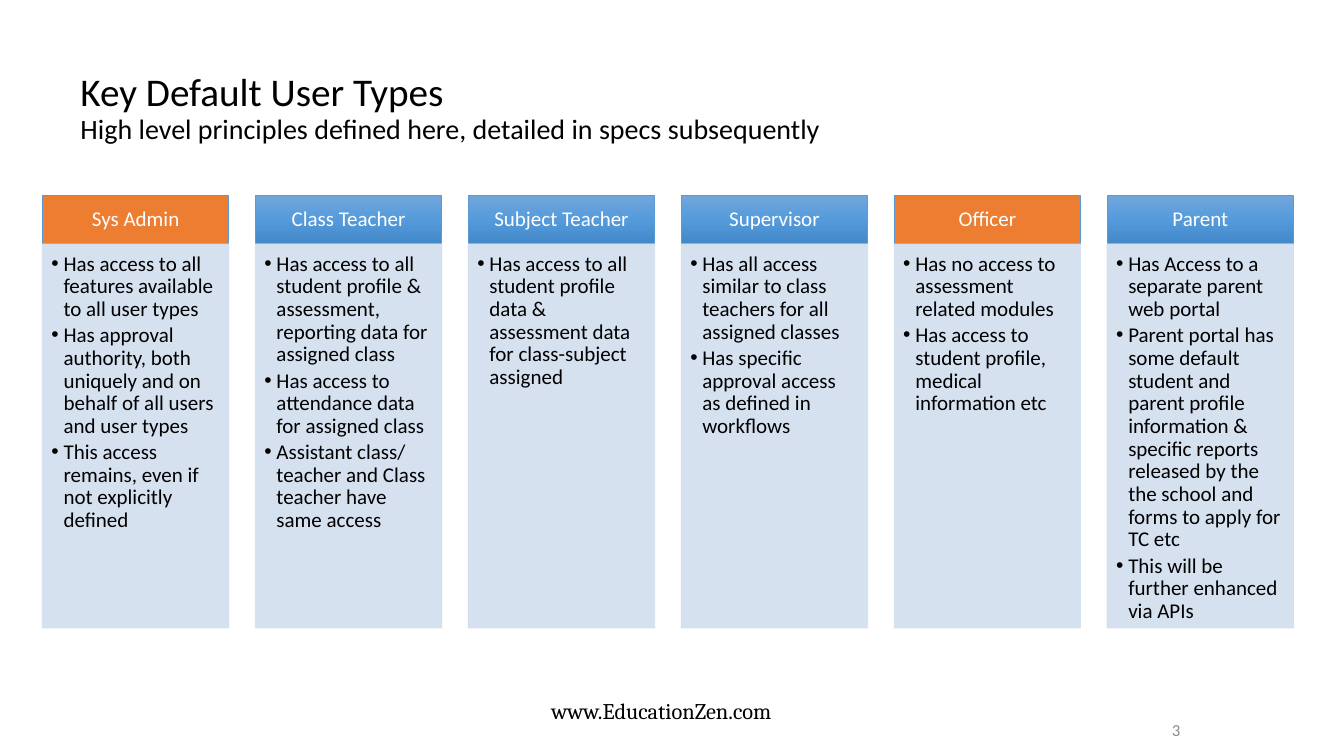
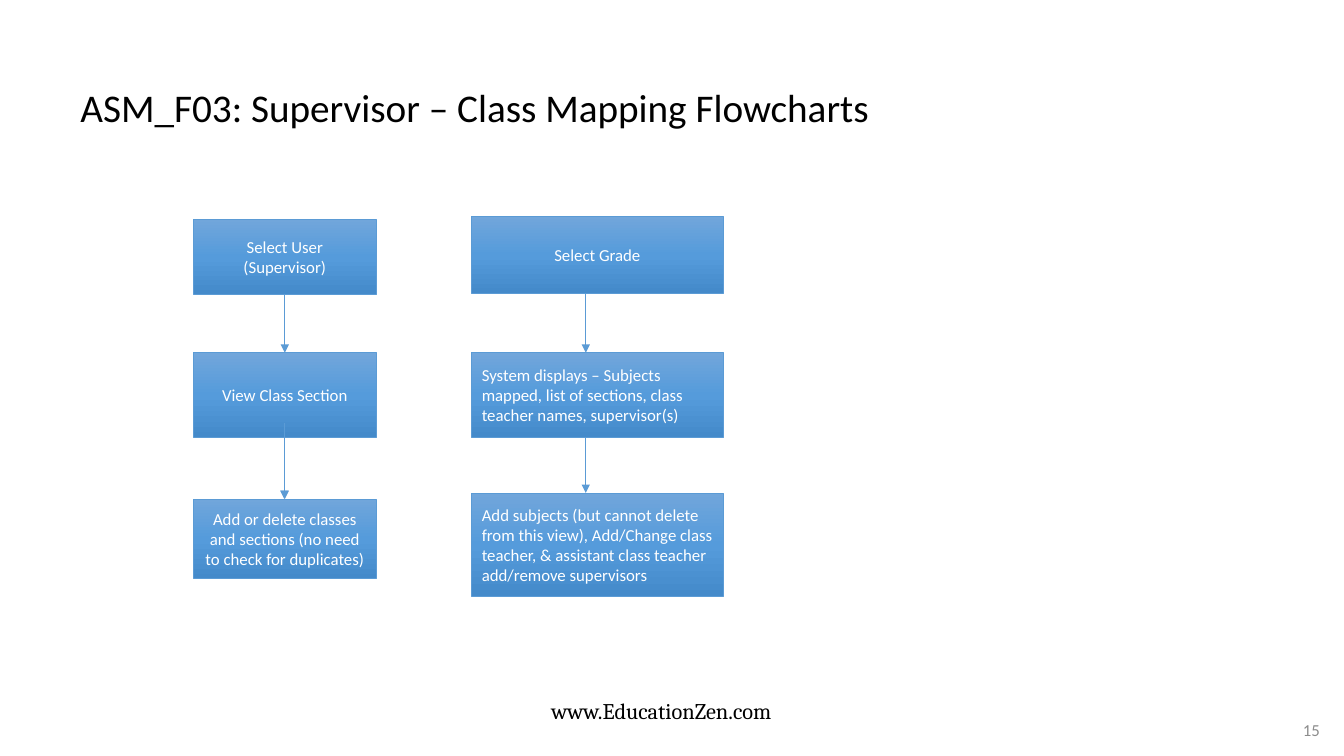
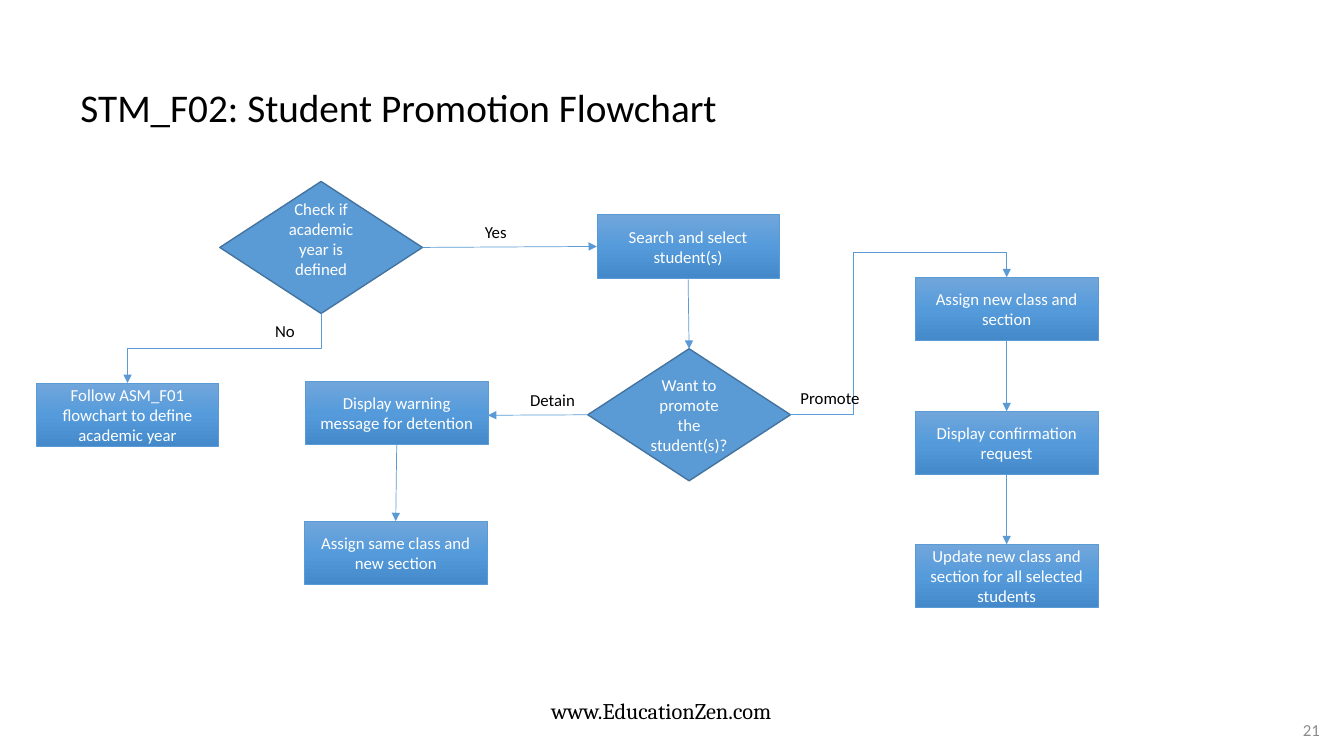
"""Build three slides on user types and school workflow flowcharts."""
import copy

import pptx
import pptx.dml.color
import pptx.enum.shapes
import pptx.enum.text
import pptx.oxml.ns
import pptx.util
from lxml import etree

Inches = pptx.util.Inches
Pt = pptx.util.Pt
qn = pptx.oxml.ns.qn
ALIGN = pptx.enum.text.PP_ALIGN
ANCHOR = pptx.enum.text.MSO_ANCHOR
SHAPE = pptx.enum.shapes.MSO_SHAPE
CONNECTOR = pptx.enum.shapes.MSO_CONNECTOR

COLORS = {
    "black": "000000", "white": "FFFFFF", "gray": "8C8C8C",
    "blue": "5B9BD5", "dark_blue": "43739E", "pale_blue": "D2DEEF", "orange": "ED7D31",
    "gradient_top": "71A6DB", "gradient_middle": "559BDB", "gradient_bottom": "448ACA",
}
GRADIENT = ["gradient_top", "gradient_middle", "gradient_bottom"]
FOOTER = "www.EducationZen.com"
TOP, LEFT, BOTTOM, RIGHT = range(4)

USER_TYPES = [
    ("Sys Admin", "orange", [
        "Has access to all features available to all user types",
        "Has approval authority, both uniquely and on behalf of all users and user types",
        "This access remains, even if not explicitly defined"]),
    ("Class Teacher", "gradient", [
        "Has access to all student profile & assessment, reporting data for assigned class",
        "Has access to attendance data for assigned class",
        "Assistant class/ teacher and Class teacher have same access"]),
    ("Subject Teacher", "gradient", [
        "Has access to all student profile data & assessment data for class-subject assigned"]),
    ("Supervisor", "gradient", [
        "Has all access similar to class teachers for all assigned classes",
        "Has specific approval access as defined in workflows"]),
    ("Officer", "orange", [
        "Has no access to assessment related modules",
        "Has access to student profile, medical information etc"]),
    ("Parent", "gradient", [
        "Has Access to a separate parent web portal",
        "Parent portal has some default student and parent profile information & specific "
        "reports released by the the school and forms to apply for TC etc",
        "This will be further enhanced via APIs"]),
]

MAPPING_STEPS = {
    "user": ("Select User (Supervisor)", 1.92, 2.18, 1.81, 0.74, ALIGN.CENTER),
    "view": ("View Class Section", 1.92, 3.5, 1.81, 0.84, ALIGN.CENTER),
    "edit": ("Add or delete classes and sections (no need to check for duplicates)",
             1.92, 4.95, 1.81, 0.79, ALIGN.CENTER),
    "grade": ("Select Grade", 4.68, 2.15, 2.49, 0.76, ALIGN.CENTER),
    "display": ("System displays – Subjects mapped, list of sections, class teacher names, "
                "supervisor(s)", 4.68, 3.5, 2.49, 0.84, ALIGN.LEFT),
    "change": ("Add subjects (but cannot delete from this view), Add/Change class teacher, & "
               "assistant class teacher add/remove supervisors",
               4.68, 4.89, 2.49, 1.03, ALIGN.LEFT),
}
MAPPING_ARROWS = [
    (("user", BOTTOM), ("view", TOP)),
    (("view", BOTTOM), ("edit", TOP)),
    ((2.82, 4.2), (2.82, 4.95)),
    ((5.81, 2.91), (5.81, 3.5)),
    ((5.81, 4.34), (5.81, 4.89)),
]

PROMOTION_DECISIONS = {
    "check": ("Check if academic year is defined", 2.18, 1.8, 0.22),
    "promote": ("Want to promote the student(s)?", 5.83, 3.46, 0.05),
}
PROMOTION_STEPS = {
    name: (text, left, top, 1.81, 0.63, ALIGN.CENTER)
    for name, text, left, top in [
        ("warn", "Display warning message for detention", 3.03, 3.78),
        ("search", "Search and select student(s)", 5.92, 2.13),
        ("follow", "Follow ASM_F01 flowchart to define academic year", 0.36, 3.8),
        ("update", "Update new class and section for all selected students", 9.08, 5.4),
        ("assign", "Assign new class and section", 9.08, 2.75),
        ("confirm", "Display confirmation request", 9.08, 4.08),
        ("same", "Assign same class and new section", 3.02, 5.17),
    ]
}
PROMOTION_ARROWS = [
    (("check", RIGHT), ("search", LEFT)),
    (("search", BOTTOM), ("promote", TOP)),
    (("warn", BOTTOM), ("same", TOP)),
    (("promote", LEFT), (4.84, 4.12)),
    (("assign", BOTTOM), ("confirm", TOP)),
    (("confirm", BOTTOM), ("update", TOP)),
]
PROMOTION_LABELS = [
    ("Yes", 4.71, 2.15, 0.55), ("Promote", 7.84, 3.8, 1.08),
    ("Detain", 5.16, 3.82, 0.67), ("No", 2.63, 3.13, 0.55),
]


def rgb(name):
    return pptx.dml.color.RGBColor.from_string(COLORS[name])


def format_text(shape, paragraphs, size, color="black", font="Calibri", align=ALIGN.LEFT,
                anchor=ANCHOR.TOP, insets=(0.1, 0.05, 0.1, 0.05), spacing=None):
    frame = shape.text_frame
    frame.word_wrap = True
    frame.vertical_anchor = anchor
    (frame.margin_left, frame.margin_top,
     frame.margin_right, frame.margin_bottom) = map(Inches, insets)
    frame.text = "\n".join(paragraphs)
    for paragraph in frame.paragraphs:
        paragraph.alignment = align
        if spacing:
            paragraph.line_spacing = spacing
        for run in paragraph.runs:
            run.font.name = font
            run.font.size = Pt(size)
            run.font.color.rgb = rgb(color)
    return frame


def add_text(slide, box, paragraphs, size, **style):
    return format_text(slide.shapes.add_textbox(*map(Inches, box)), paragraphs, size, **style)


def add_box(slide, kind, box, fill, line="blue", line_width=0.5):
    shape = slide.shapes.add_shape(kind, *map(Inches, box))
    shape.shadow.inherit = False
    if fill == "gradient":
        shape.fill.gradient()
        shape.fill.gradient_angle = 270
        stops = shape._element.spPr.find(".//" + qn("a:gsLst"))
        stops.append(copy.deepcopy(stops[0]))
        for index, (stop, name) in enumerate(zip(shape.fill.gradient_stops, GRADIENT)):
            stop.color.rgb = rgb(name)
            stop.position = index / 2
    else:
        shape.fill.solid()
        shape.fill.fore_color.rgb = rgb(fill)
    shape.line.color.rgb = rgb(line)
    shape.line.width = Pt(line_width)
    return shape


def add_steps(slide, steps):
    shapes = {}
    for name, (text, *box, align) in steps.items():
        shapes[name] = add_box(slide, SHAPE.FLOWCHART_PROCESS, box, "gradient")
        format_text(shapes[name], [text], 12, color="white", align=align, anchor=ANCHOR.MIDDLE)
    return shapes


def add_arrow(slide, shapes, start, end, kind=CONNECTOR.STRAIGHT):
    points = [(0, 0) if point[0] in shapes else point for point in (start, end)]
    connector = slide.shapes.add_connector(
        kind, *(Inches(value) for point in points for value in point))
    if start[0] in shapes:
        connector.begin_connect(shapes[start[0]], start[1])
    if end[0] in shapes:
        connector.end_connect(shapes[end[0]], end[1])
    connector.line.color.rgb = rgb("blue")
    connector.line.width = Pt(0.5)
    properties = connector._element.spPr
    etree.SubElement(properties.find(qn("a:ln")), qn("a:tailEnd"), type="triangle")
    etree.SubElement(properties, qn("a:effectLst"))
    return connector


def turn_elbow(connector):
    left, top, width, height = connector.left, connector.top, connector.width, connector.height
    connector.left = left + (width - height) // 2
    connector.top = top + (height - width) // 2
    connector.width, connector.height = height, width
    transform = connector._element.spPr.find(qn("a:xfrm"))
    transform.attrib.pop("flipH", None)
    transform.set("rot", "5400000")


def bend_elbow(connector, adjustments):
    geometry = connector._element.spPr.find(qn("a:prstGeom"))
    geometry.set("prst", "bentConnector4")
    values = geometry.find(qn("a:avLst"))
    for index, value in enumerate(adjustments, 1):
        etree.SubElement(values, qn("a:gd"), name=f"adj{index}", fmla=f"val {value}")


def add_slide(presentation, title, number, number_indent=2.68):
    slide = presentation.slides.add_slide(presentation.slide_layouts[6])
    add_text(slide, (4.75, 6.87, 3, 0.37), [FOOTER], 16, font="Cambria", align=ALIGN.RIGHT)
    frame = add_text(slide, (10.04, 7.04, 3.25, 0.4), [number], 12, color="gray",
                     align=ALIGN.CENTER, anchor=ANCHOR.MIDDLE)
    frame.paragraphs[0]._p.get_or_add_pPr().set("marL", str(Inches(number_indent)))
    frame = add_text(slide, (0.7, 0.42, 10.96, 1.33), [title], 28,
                     anchor=ANCHOR.MIDDLE, spacing=0.9)
    for subtitle in frame.paragraphs[0].runs[1:]:
        subtitle.font.size = Pt(20)
    return slide


def add_user_types(presentation):
    slide = add_slide(
        presentation, "Key Default User Types\v"
        "High level principles defined here, detailed in specs subsequently", "3", 0)
    first, last, width = 0.42, 10.98, 1.85
    pitch = (last - first) / (len(USER_TYPES) - 1)
    for index, (name, fill, rules) in enumerate(USER_TYPES):
        left = first + index * pitch
        header = add_box(slide, SHAPE.RECTANGLE, (left, 1.94, width, 0.47), fill)
        format_text(header, [name], 15, color="white", align=ALIGN.CENTER,
                    anchor=ANCHOR.MIDDLE, insets=(0.12, 0.07, 0.12, 0.07), spacing=0.9)
        body = add_box(slide, SHAPE.RECTANGLE, (left, 2.42, width, 3.81),
                       "pale_blue", "pale_blue")
        for color in body._element.spPr.iter(qn("a:srgbClr")):
            etree.SubElement(color, qn("a:alpha"), val="90000")
        frame = format_text(body, rules, 15, insets=(0.09, 0.09, 0.12, 0.13), spacing=0.9)
        for paragraph in frame.paragraphs:
            paragraph.space_after = Pt(2.4)
            properties = paragraph._p.get_or_add_pPr()
            properties.set("marL", str(Inches(0.12)))
            properties.set("indent", str(Inches(-0.12)))
            etree.SubElement(properties, qn("a:buFont"), typeface="Arial")
            etree.SubElement(properties, qn("a:buChar"), char="•")


def add_mapping(presentation):
    slide = add_slide(presentation, "ASM_F03: Supervisor – Class Mapping Flowcharts", "15")
    shapes = add_steps(slide, MAPPING_STEPS)
    for start, end in MAPPING_ARROWS:
        add_arrow(slide, shapes, start, end)


def add_promotion(presentation):
    slide = add_slide(presentation, "STM_F02: Student Promotion Flowchart", "21")
    shapes = add_steps(slide, PROMOTION_STEPS)
    for name, (text, left, top, bottom_inset) in PROMOTION_DECISIONS.items():
        shapes[name] = add_box(slide, SHAPE.DIAMOND, (left, top, 2.01, 1.31),
                               "blue", "dark_blue", 1)
        format_text(shapes[name], [text], 12, color="white", align=ALIGN.CENTER,
                    anchor=ANCHOR.MIDDLE, insets=(0.1, 0.05, 0.1, bottom_inset))
    for start, end in PROMOTION_ARROWS:
        add_arrow(slide, shapes, start, end)
    turn_elbow(add_arrow(slide, shapes, ("check", BOTTOM), ("follow", TOP), CONNECTOR.ELBOW))
    bend_elbow(add_arrow(slide, shapes, ("promote", RIGHT), ("assign", TOP), CONNECTOR.ELBOW),
               (29000, 118300))
    for text, left, top, width in PROMOTION_LABELS:
        add_text(slide, (left, top, width, 0.3), [text], 12)


def main():
    presentation = pptx.Presentation()
    presentation.slide_width = Inches(13.33)
    presentation.slide_height = Inches(7.5)
    add_user_types(presentation)
    add_mapping(presentation)
    add_promotion(presentation)
    presentation.save("out.pptx")


if __name__ == "__main__":
    main()
